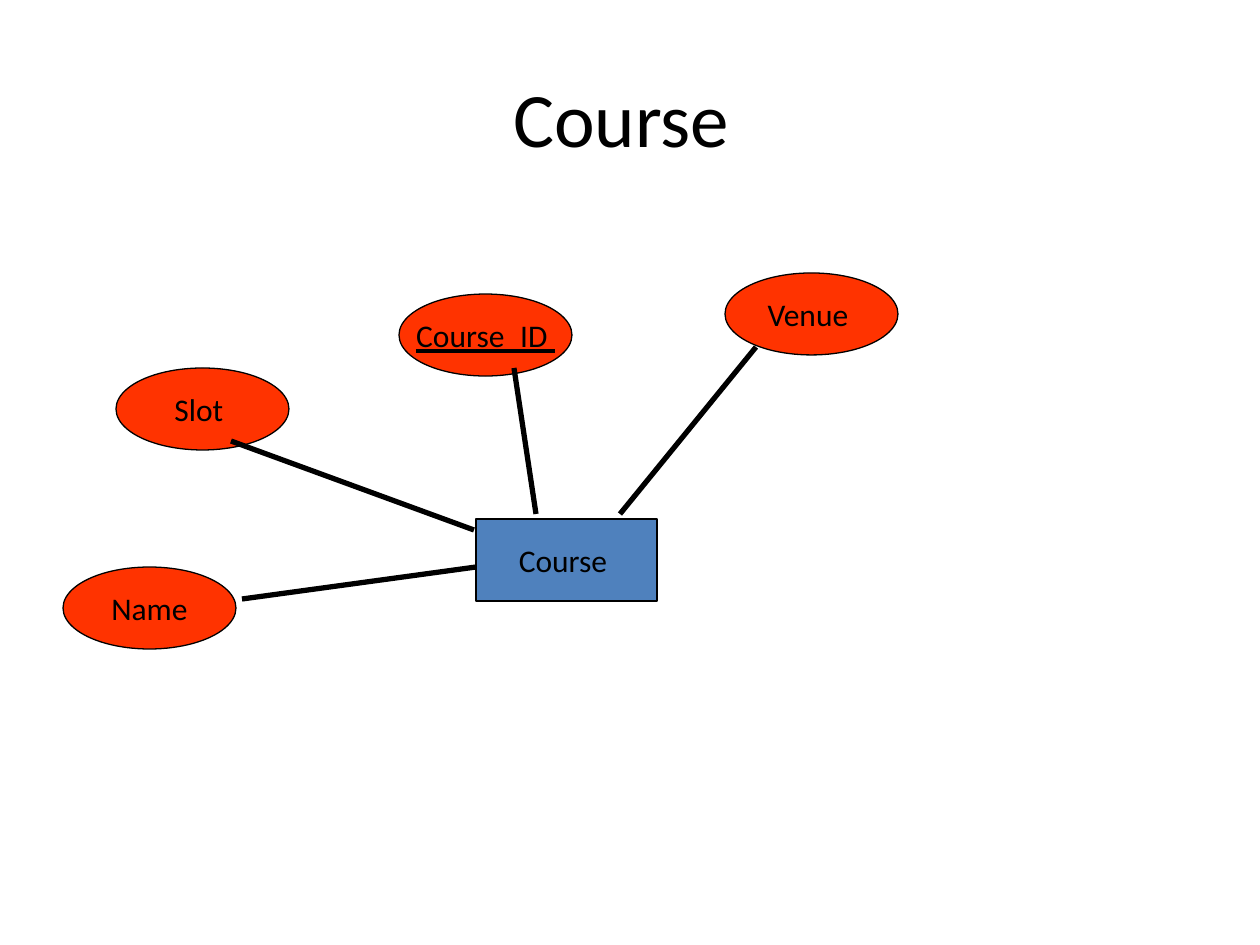
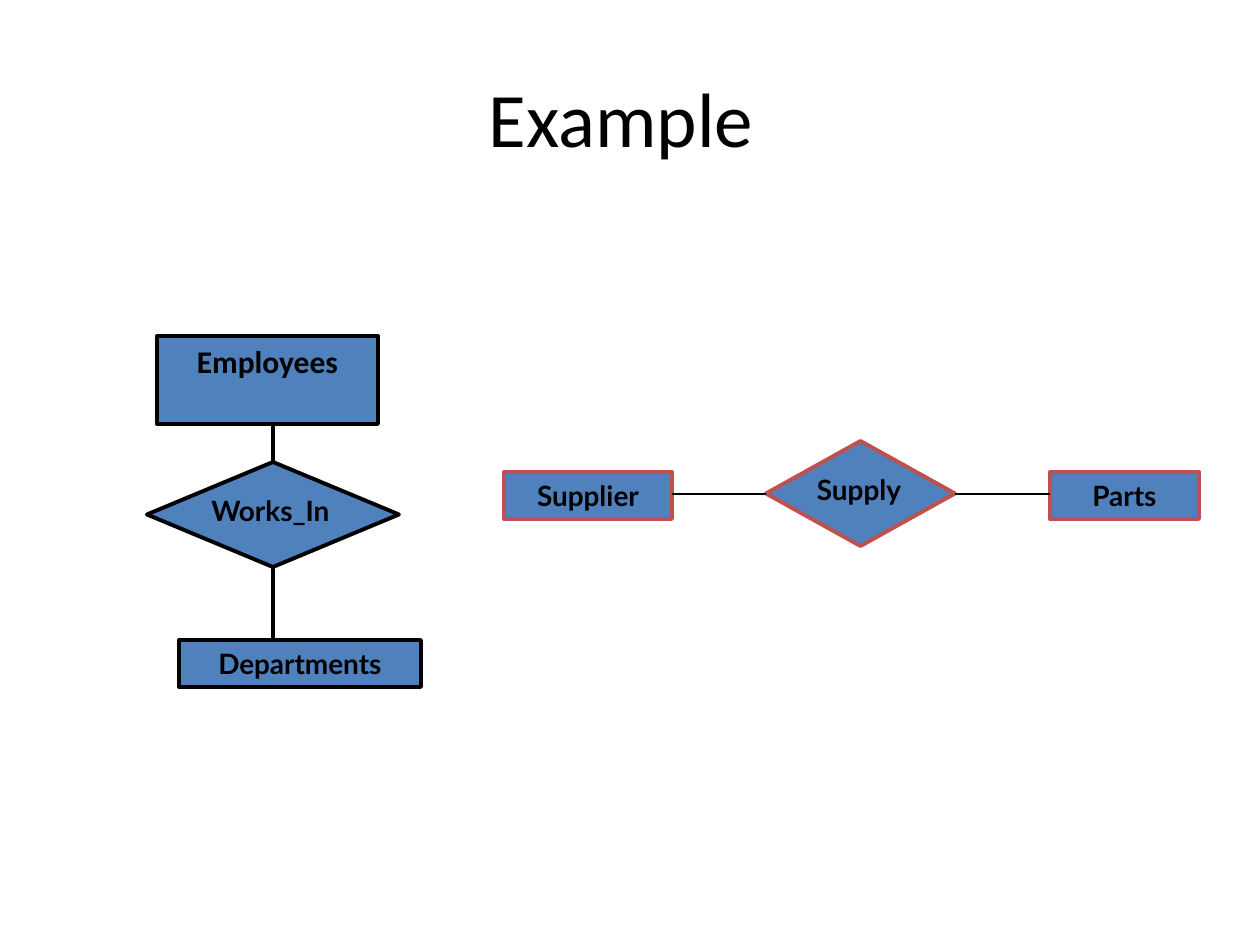
from lxml import etree
from pptx import Presentation
from pptx.dml.color import RGBColor
from pptx.enum.shapes import MSO_CONNECTOR, MSO_SHAPE
from pptx.enum.text import MSO_ANCHOR, PP_ALIGN
from pptx.oxml.ns import qn
from pptx.util import Emu, Pt

RECT, ELLIPSE, DIAMOND = MSO_SHAPE.RECTANGLE, MSO_SHAPE.OVAL, MSO_SHAPE.DIAMOND
STRAIGHT = MSO_CONNECTOR.STRAIGHT
TOP, MIDDLE = MSO_ANCHOR.TOP, MSO_ANCHOR.MIDDLE
LEFT, CENTER = PP_ALIGN.LEFT, PP_ALIGN.CENTER

PX_PER_INCH = 126
SLIDE_W, SLIDE_H = 1260, 945
BODY, LABEL = "Calibri", "Lato"
COLORS = {
    "text": "000000",
    "outline": "000000",
    "entity": "4F81BD",
    "attribute": "FF3300",
    "accent": "C0504D",
}


def px(n):
    return Emu(round(n * 914400 / PX_PER_INCH))


def rgb(name):
    return RGBColor.from_string(COLORS[name])


def write(sp, text, size=18, font=BODY, bold=False, underline=False,
          align=CENTER, anchor=MIDDLE, wrap=False, spacing=None, before=None):
    tf = sp.text_frame
    tf.word_wrap = wrap
    tf.vertical_anchor = anchor
    p = tf.paragraphs[0]
    p.alignment = align
    p.line_spacing = spacing
    p.space_before = before
    r = p.add_run()
    r.text = text
    r.font.name, r.font.size = font, Pt(size)
    r.font.bold, r.font.underline = bold, underline
    r.font.color.rgb = rgb("text")


def add_text(s, x, y, w, h, text, **fmt):
    write(s.shapes.add_textbox(px(x), px(y), px(w), px(h)), text, **fmt)


def add_node(s, kind, x, y, w, h, text="", fill="entity", line="outline",
             weight=2.25, **fmt):
    sp = s.shapes.add_shape(kind, px(x), px(y), px(w), px(h))
    sp.shadow.inherit = False
    sp.fill.solid()
    sp.fill.fore_color.rgb = rgb(fill)
    sp.line.color.rgb = rgb(line)
    sp.line.width = Pt(weight)
    if text:
        write(sp, text, **fmt)


def add_link(s, x1, y1, x2, y2, weight):
    cxn = s.shapes.add_connector(STRAIGHT, px(x1), px(y1), px(x2), px(y2))
    cxn.line.color.rgb = rgb("outline")
    cxn.line.width = Pt(weight)
    etree.SubElement(cxn._element.spPr, qn("a:effectLst"))


def add_title_slide(prs, title):
    s = prs.slides.add_slide(prs.slide_layouts[6])
    add_text(s, 63, 38, SLIDE_W - 2 * 63, 157, title, size=44, wrap=True)
    return s


def add_entity(s, x, y, w, h, text, size=16, font=LABEL, line="outline"):
    add_node(s, RECT, x, y, w, h, text, line=line, size=size, font=font,
             bold=True, anchor=TOP, wrap=True)


def add_relationship(s, x, y, w, text, label_w, line="outline"):
    """Diamond with its name in a text box over the middle."""
    add_node(s, DIAMOND, x, y, w, 105, line=line)
    add_text(s, x + (w - label_w) / 2 + 3, y + 32, label_w, 40, text, size=16,
             font=LABEL, bold=True, align=LEFT, anchor=TOP,
             spacing=0.8, before=Pt(4))


def course_diagram(s, x, y):
    # Attributes: name, offset, underlined when it is the key
    for text, dx, dy, key in (("Name", 0, 294, False), ("Slot ", 53, 95, False),
                              ("Course_ID ", 336, 21, True),
                              ("Venue ", 662, 0, False)):
        add_node(s, ELLIPSE, x + dx, y + dy, 173, 82, text, fill="attribute",
                 weight=0.75, underline=key)
    # Entity
    add_node(s, RECT, x + 413, y + 246, 181, 82, "Course ", weight=0.75)
    # Links from attribute to entity
    for x1, y1, x2, y2 in ((179, 326, 413, 294), (168, 168, 411, 257),
                           (451, 95, 473, 241), (693, 74, 557, 241)):
        add_link(s, x + x1, y + y1, x + x2, y + y2, weight=3)


def works_in_diagram(s, x, y):
    add_entity(s, x + 32, y + 304, 242, 47, "Departments")
    add_relationship(s, x, y + 126, 252, "Works_In", 154)
    # Links, the upper one running behind Employees
    for y1, y2 in ((304, 231), (126, 32)):
        add_link(s, x + 126, y + y1, x + 126, y + y2, weight=2.25)
    add_entity(s, x + 10, y, 221, 88, "Employees", size=18, font=BODY)


def supply_diagram(s, x, y):
    add_entity(s, x, y + 31, 168, 47, "Supplier", line="accent")
    add_relationship(s, x + 262, y, 189, "Supply", 118, line="accent")
    add_entity(s, x + 546, y + 31, 149, 47, "Parts", line="accent")
    for x1, x2 in ((168, 262), (451, 546)):
        add_link(s, x + x1, y + 53, x + x2, y + 53, weight=0.75)


def main():
    prs = Presentation()
    prs.slide_width, prs.slide_height = px(SLIDE_W), px(SLIDE_H)

    s = add_title_slide(prs, "Course ")
    course_diagram(s, 63, 273)

    s = add_title_slide(prs, "Example ")
    works_in_diagram(s, 147, 336)
    supply_diagram(s, 504, 441)

    prs.save("out.pptx")


if __name__ == "__main__":
    main()
